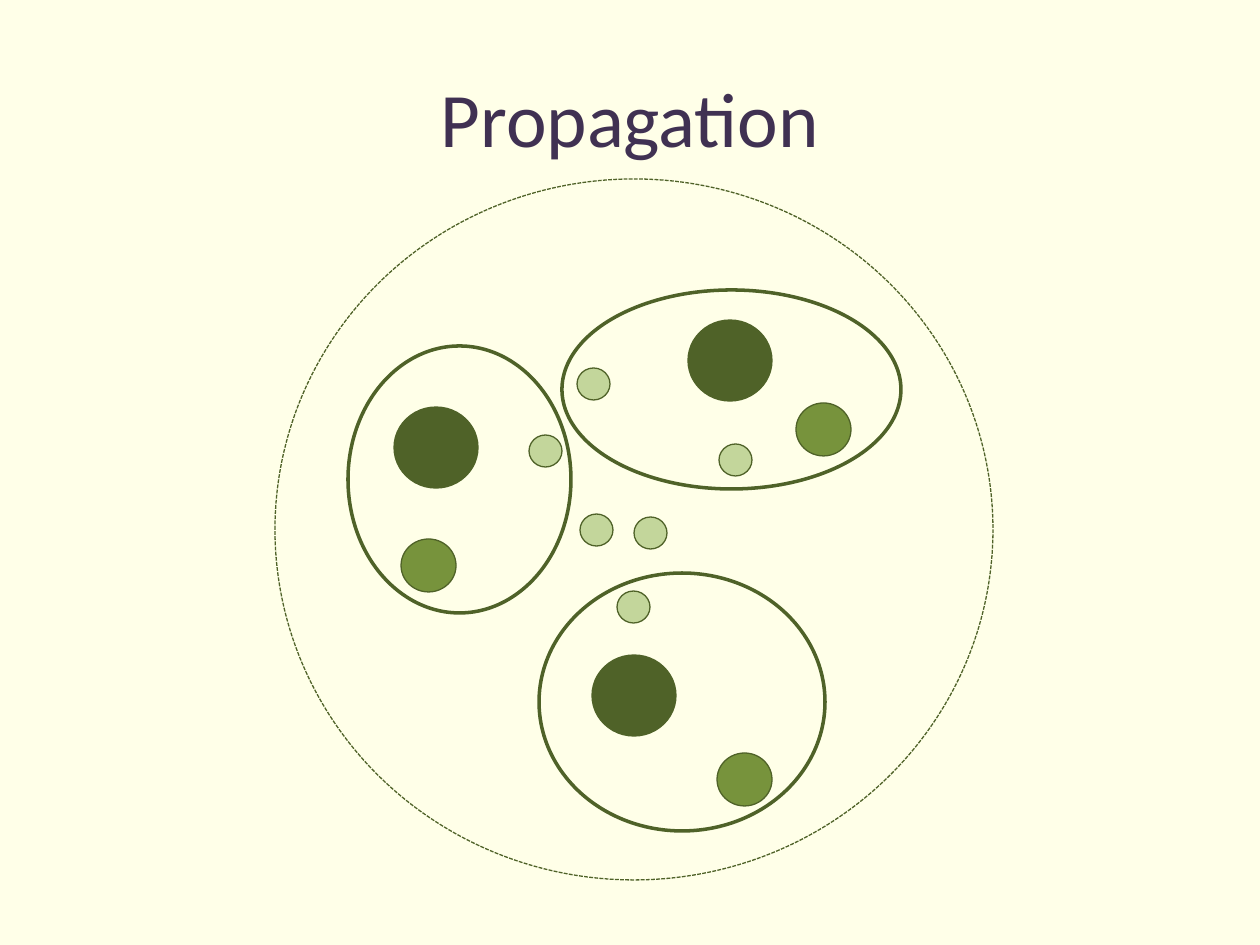
"""Build the Propagation slide: three cells with dots inside a dashed ring."""
from pptx import Presentation
from pptx import util as u
from pptx.dml.color import RGBColor
from pptx.enum import dml, shapes, text

CREAM = RGBColor(0xFF, 0xFF, 0xE8)
PLUM = RGBColor(0x40, 0x31, 0x52)
DARK = RGBColor(0x4F, 0x62, 0x28)
GREEN = RGBColor(0x77, 0x93, 0x3C)
PALE = RGBColor(0xC3, 0xD6, 0x9B)

TITLE = "Propagation"
RING = (275, 179, 718, 701)
CORES = [(394, 407), (592, 655), (688, 320)]
BUDS = [(796, 403), (401, 539), (717, 753)]
SPORES = [(529, 435), (577, 368), (580, 514), (634, 517), (719, 444), (617, 591)]
CELLS = [(348, 346, 223, 267), (562, 290, 339, 199), (539, 573, 286, 258)]
DOTS_BACK = [(CORES, (84, 81), DARK)]
DOTS_FRONT = [(BUDS, (55, 53), GREEN), (SPORES, (33, 32), PALE)]


def px(n):
    return round(n * u.Inches(1) / 126)


def oval(slide, box, fill=None, width=0.75, dash=None):
    shape = slide.shapes.add_shape(shapes.MSO_SHAPE.OVAL, *map(px, box))
    shape.shadow.inherit = False
    if fill is None:
        shape.fill.background()
    else:
        shape.fill.solid()
        shape.fill.fore_color.rgb = fill
    shape.line.color.rgb = DARK
    shape.line.width = u.Pt(width)
    if dash is not None:
        shape.line.dash_style = dash


def dots(slide, groups):
    for spots, size, fill in groups:
        for spot in spots:
            oval(slide, spot + size, fill)


def head(slide):
    title = slide.shapes.title
    title.left, title.top, title.width, title.height = map(px, (63, 38, 1134, 157))
    frame = title.text_frame
    frame.vertical_anchor = text.MSO_ANCHOR.MIDDLE
    para = frame.paragraphs[0]
    para.alignment = text.PP_ALIGN.CENTER
    run = para.add_run()
    run.text = TITLE
    run.font.name = "Calibri"
    run.font.size = u.Pt(44)
    run.font.color.rgb = PLUM


def main():
    deck = Presentation()
    deck.slide_width, deck.slide_height = px(1260), px(945)
    slide = deck.slides.add_slide(deck.slide_layouts[5])
    slide.background.fill.solid()
    slide.background.fill.fore_color.rgb = CREAM
    head(slide)
    dots(slide, DOTS_BACK)
    oval(slide, RING, dash=dml.MSO_LINE.SQUARE_DOT)
    dots(slide, DOTS_FRONT)
    for cell in CELLS:
        oval(slide, cell, width=2)
    deck.save("out.pptx")


if __name__ == "__main__":
    main()
